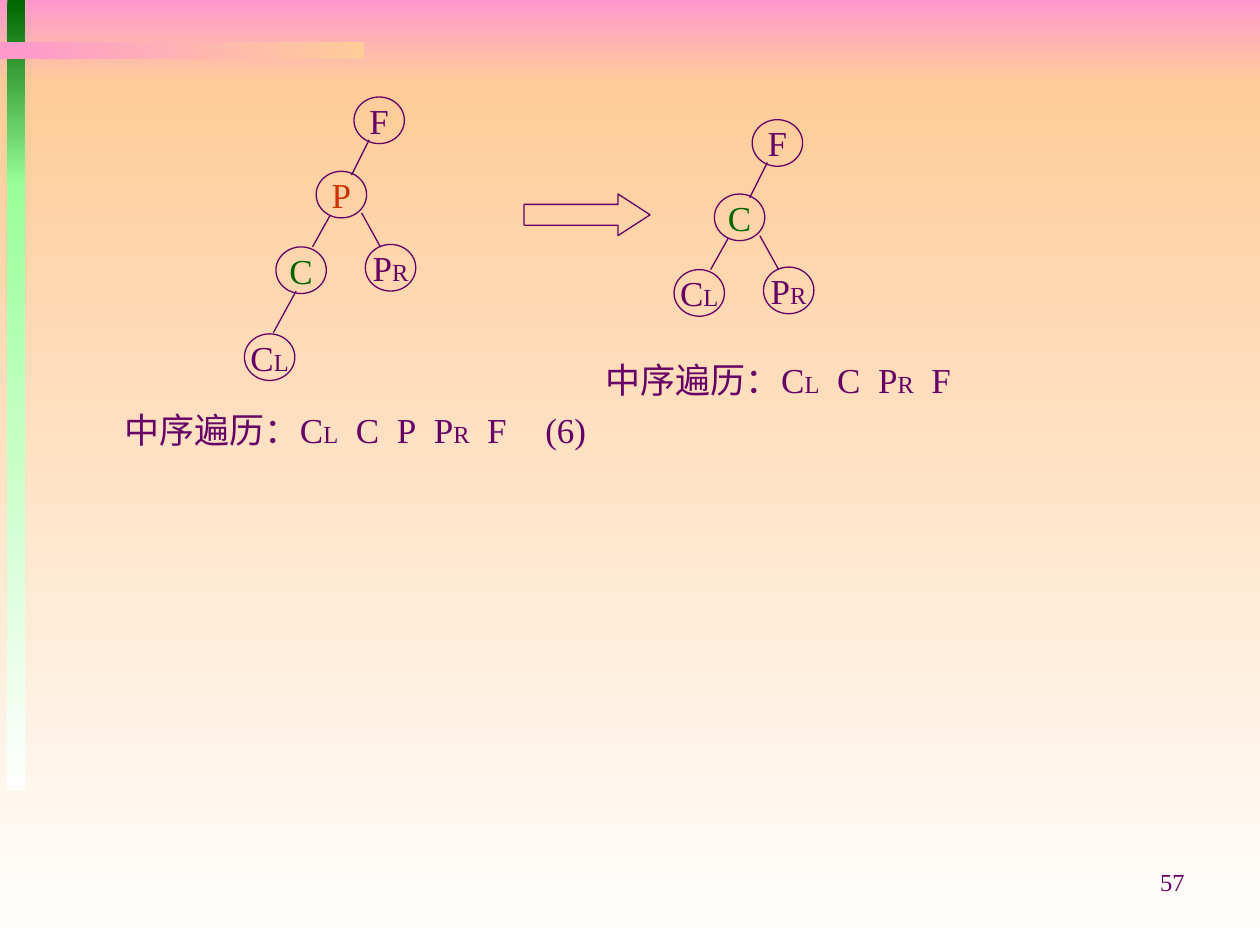
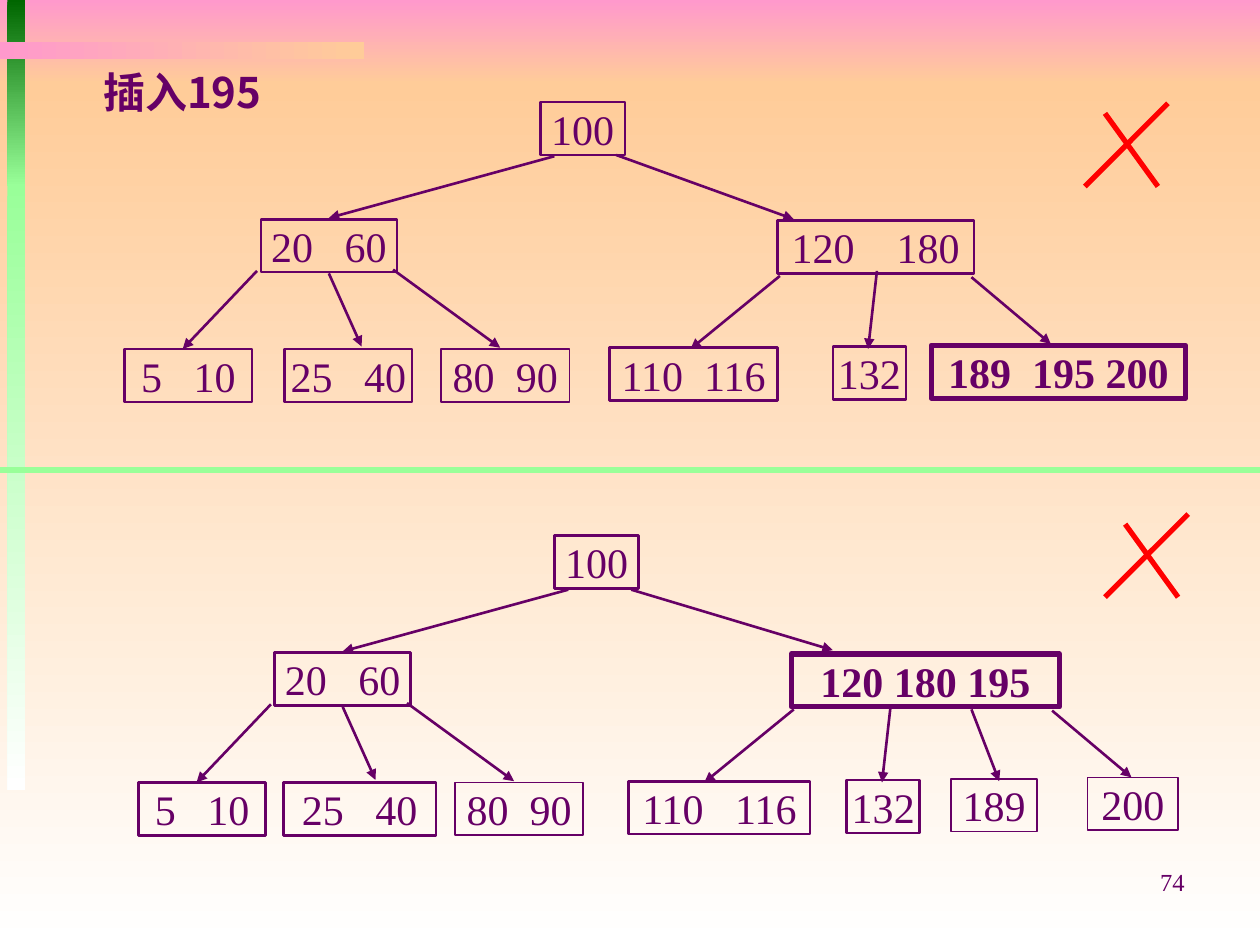
from dataclasses import dataclass

from lxml.etree import SubElement
from pptx import Presentation
from pptx.dml.color import RGBColor
from pptx.enum.shapes import MSO_CONNECTOR, MSO_SHAPE
from pptx.enum.text import MSO_ANCHOR, MSO_AUTO_SIZE, PP_ALIGN
from pptx.oxml.ns import qn
from pptx.util import Inches, Pt


@dataclass(frozen=True)
class Theme:
    ink: str = "660066"
    removed: str = "CC3300"
    moved: str = "006600"
    cross: str = "FF0000"
    pink: str = "FF99CC"
    peach: str = "FFCC99"
    white: str = "FFFFFF"
    green: str = "006600"
    mint: str = "99FF99"
    serif: str = "Times New Roman"
    sans: str = "Noto Sans CJK SC"
    key_size: int = 24
    label_size: int = 20
    small_size: int = 14
    thin: float = 0.75
    light: float = 1
    medium: float = 1.5
    heavy: float = 3


THEME = Theme()


@dataclass(frozen=True)
class KeyNode:
    keys: str
    x: float
    y: float
    width: float
    gaps: tuple = ()
    weight: float = THEME.medium


NODE_HEIGHT = 0.42
SHARED_NODES = [
    KeyNode("100", 3.3, 0, 0.67),
    KeyNode("20 60", 1.08, 0.93, 1.08, (3,)),
    KeyNode("5 10", 0, 1.96, 1.01, (3,)),
    KeyNode("80 90", 2.51, 1.96, 1.02, (2,), THEME.light),
    KeyNode("132", 5.62, 1.94, 0.58),
]
SHARED_ARROWS = [
    (3.41, 0.43, 1.62, 0.92),
    (1.05, 1.34, 0.46, 1.96),
    (1.62, 1.36, 1.88, 1.94),
    (2.13, 1.33, 2.98, 1.95),
    (5.2, 1.38, 4.49, 1.96),
    (5.97, 1.34, 5.9, 1.96),
]
LEAF_OVERFLOW_NODES = [
    KeyNode("25 40", 1.27, 1.96, 1.01, (3,)),
    KeyNode("120 180", 5.18, 0.94, 1.56, (4,)),
    KeyNode("110 116", 3.85, 1.95, 1.33, (2,)),
    KeyNode("189 195 200", 6.4, 1.93, 2.02, (2, 1), THEME.heavy),
]
LEAF_OVERFLOW_ARROWS = [(3.9, 0.42, 5.31, 0.93), (6.72, 1.39, 7.35, 1.92)]
PARENT_OVERFLOW_NODES = [
    KeyNode("25 40", 1.15, 1.96, 1.21, (3,)),
    KeyNode("120 180 195", 5.18, 0.94, 2.13, (1, 1), THEME.heavy),
    KeyNode("110 116", 3.89, 1.95, 1.44, (3,)),
    KeyNode("189", 6.45, 1.93, 0.68, (), THEME.light),
    KeyNode("200", 7.53, 1.92, 0.72, (), THEME.light),
]
PARENT_OVERFLOW_ARROWS = [
    (3.91, 0.43, 5.51, 0.91),
    (7.25, 1.39, 7.88, 1.92),
    (6.61, 1.38, 6.83, 1.95),
]


def rgb(code):
    return RGBColor.from_string(code)


def add_run(paragraph, text, size, color=THEME.ink, font=THEME.serif, bold=False):
    run = paragraph.add_run()
    run.text = text
    run.font.size = Pt(size)
    run.font.name = font
    run.font.bold = bold
    run.font.color.rgb = rgb(color)
    return run


def add_gap(paragraph, spaces, size, bold=False):
    run = add_run(paragraph, " ", size, bold=bold)
    if spaces > 1:
        run.font._element.set("spc", str((spaces - 1) * size * 25))


def add_label(paragraph, label, color=THEME.ink):
    add_run(paragraph, label[0], THEME.label_size, color)
    if label[1:]:
        add_run(paragraph, label[1:], THEME.small_size, color)


def add_preset(slide, preset, x, y, width, height, weight=None):
    shape = slide.shapes.add_shape(
        preset, Inches(x), Inches(y), Inches(width), Inches(height))
    shape.shadow.inherit = False
    if weight:
        shape.fill.background()
        shape.line.color.rgb = rgb(THEME.ink)
        shape.line.width = Pt(weight)
    else:
        shape.line.fill.background()
    return shape


def center_text(shape):
    frame = shape.text_frame
    frame.word_wrap = False
    frame.vertical_anchor = MSO_ANCHOR.MIDDLE
    paragraph = frame.paragraphs[0]
    paragraph.alignment = PP_ALIGN.CENTER
    return paragraph


def add_line(slide, x, y, ends, weight, color=THEME.ink, arrow=False):
    x1, y1, x2, y2 = ends
    line = slide.shapes.add_connector(
        MSO_CONNECTOR.STRAIGHT,
        Inches(x + x1), Inches(y + y1), Inches(x + x2), Inches(y + y2))
    line.line.color.rgb = rgb(color)
    line.line.width = Pt(weight)
    if arrow:
        SubElement(line.line._get_or_add_ln(), qn("a:tailEnd"), type="triangle")
    SubElement(line._element.spPr, qn("a:effectLst"))


def add_text_box(slide, x, y, width, height, wrap=True):
    box = slide.shapes.add_textbox(
        Inches(x), Inches(y), Inches(width), Inches(height))
    box.text_frame.word_wrap = wrap
    return box.text_frame


def add_band(slide, box, start, end, angle=270):
    band = add_preset(slide, MSO_SHAPE.RECTANGLE, *box)
    band.fill.gradient()
    band.fill.gradient_angle = angle
    for stop, color in zip(band.fill.gradient_stops, (start, end)):
        stop.color.rgb = rgb(color)


def add_base_slide(prs):
    slide = prs.slides.add_slide(prs.slide_layouts[6])
    add_band(slide, (0, 0, 10, 0.67), THEME.pink, THEME.peach)
    add_band(slide, (0, 0.67, 10, 6.83), THEME.peach, THEME.white)
    add_band(slide, (0.06, 0, 0.14, 1.48), THEME.green, THEME.mint)
    add_band(slide, (0.06, 1.46, 0.14, 4.81), THEME.mint, THEME.white)
    add_band(slide, (0, 0.33, 2.89, 0.14), THEME.peach, THEME.pink, 180)
    return slide


def add_page_number(slide, number):
    paragraph = add_text_box(slide, 7.17, 6.83, 2.33, 0.52).paragraphs[0]
    paragraph.alignment = PP_ALIGN.RIGHT
    add_run(paragraph, str(number), THEME.small_size)


def add_circle(slide, x, y, label, color=THEME.ink):
    circle = add_preset(slide, MSO_SHAPE.OVAL, x, y, 0.4, 0.37, THEME.thin)
    add_label(center_text(circle), label, color)


def add_binary_tree(slide, x, y, middle, middle_color, left, left_color=THEME.ink):
    add_circle(slide, x + 0.87, y, "F")
    add_circle(slide, x + 0.57, y + 0.59, middle, middle_color)
    add_circle(slide, x + 0.25, y + 1.19, left, left_color)
    add_circle(slide, x + 0.96, y + 1.17, "PR")
    for ends in ((0.99, 0.34, 0.85, 0.62), (0.68, 0.94, 0.54, 1.19),
                 (0.93, 0.92, 1.08, 1.19)):
        add_line(slide, x, y, ends, THEME.thin)


def add_caption(slide, x, y, width, labels):
    frame = add_text_box(slide, x, y, width, 0.44, wrap=False)
    frame.auto_size = MSO_AUTO_SIZE.SHAPE_TO_FIT_TEXT
    frame.vertical_anchor = MSO_ANCHOR.MIDDLE
    paragraph = frame.paragraphs[0]
    add_run(paragraph, "中序遍历：", THEME.label_size)
    for position, label in enumerate(labels):
        if position:
            add_gap(paragraph, 2, THEME.label_size)
        add_label(paragraph, label)


def add_case_number(slide, x, y, number):
    frame = add_text_box(slide, x, y, 0.64, 0.44, wrap=False)
    frame.vertical_anchor = MSO_ANCHOR.MIDDLE
    frame.paragraphs[0].alignment = PP_ALIGN.CENTER
    add_run(frame.paragraphs[0], f"({number})", THEME.label_size)


def add_key_node(slide, x, y, node):
    box = add_preset(slide, MSO_SHAPE.RECTANGLE, x + node.x, y + node.y,
                     node.width, NODE_HEIGHT, node.weight)
    paragraph = center_text(box)
    bold = node.weight == THEME.heavy
    for position, key in enumerate(node.keys.split()):
        if position:
            add_gap(paragraph, node.gaps[position - 1], THEME.key_size, bold)
        add_run(paragraph, key, THEME.key_size, bold=bold)


def add_key_tree(slide, x, y, nodes, arrows):
    for node in SHARED_NODES + nodes:
        add_key_node(slide, x, y, node)
    for ends in SHARED_ARROWS + arrows:
        add_line(slide, x, y, ends, THEME.medium, arrow=True)


def add_cross(slide, x, y):
    for ends in ((0.66, 0, 0, 0.66), (0.16, 0.08, 0.58, 0.66)):
        add_line(slide, x, y, ends, THEME.heavy, THEME.cross)


def build_deletion_slide(prs):
    slide = add_base_slide(prs)
    becomes = add_preset(
        slide, MSO_SHAPE.RIGHT_ARROW, 4.16, 1.54, 1, 0.33, THEME.thin)
    becomes.adjustments[0] = 0.5
    becomes.adjustments[1] = 0.77
    add_binary_tree(slide, 1.94, 0.77, "P", THEME.removed, "C", THEME.moved)
    add_circle(slide, 1.94, 2.65, "CL")
    add_line(slide, 1.94, 0.77, (0.41, 1.54, 0.23, 1.87), THEME.thin)
    add_caption(slide, 0.89, 3.19, 3.3, ["CL", "C", "P", "PR", "F"])
    add_binary_tree(slide, 5.1, 0.95, "C", THEME.moved, "CL")
    add_caption(slide, 4.71, 2.79, 3.2, ["CL", "C", "PR", "F"])
    add_case_number(slide, 4.17, 3.19, 6)
    add_page_number(slide, 57)


def build_insertion_slide(prs):
    slide = add_base_slide(prs)
    heading = add_text_box(slide, 0.72, 0.48, 1.46, 0.9).paragraphs[0]
    heading.line_spacing = Pt(28.8)
    run = add_run(heading, "插入195", THEME.key_size, font=THEME.sans, bold=True)
    SubElement(run.font._element, qn("a:ea"), typeface=THEME.sans)
    add_cross(slide, 8.61, 0.82)
    add_key_tree(slide, 0.99, 0.81, LEAF_OVERFLOW_NODES, LEAF_OVERFLOW_ARROWS)
    add_line(slide, 0, 3.73, (0, 0, 10, 0), THEME.heavy, THEME.mint)
    add_cross(slide, 8.77, 4.08)
    add_key_tree(slide, 1.1, 4.25, PARENT_OVERFLOW_NODES, PARENT_OVERFLOW_ARROWS)
    add_page_number(slide, 74)


def main():
    prs = Presentation()
    prs.slide_width = Inches(10)
    prs.slide_height = Inches(7.5)
    build_deletion_slide(prs)
    build_insertion_slide(prs)
    prs.save("out.pptx")


if __name__ == "__main__":
    main()
